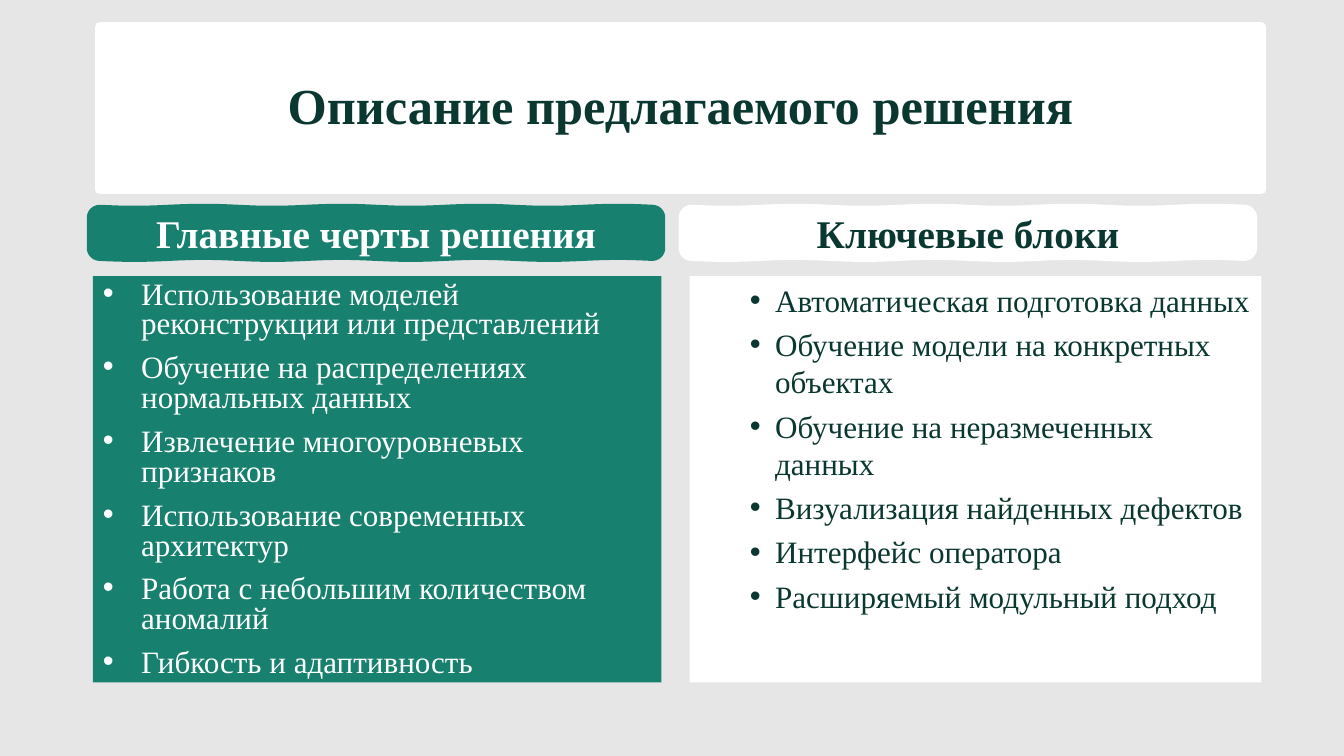
from math import cos, pi, sin

from lxml.etree import SubElement
from pptx import Presentation
from pptx.dml.color import RGBColor
from pptx.enum.shapes import MSO_SHAPE
from pptx.enum.text import MSO_ANCHOR, MSO_AUTO_SIZE, PP_ALIGN
from pptx.oxml.ns import qn
from pptx.util import Inches, Pt

GREEN = RGBColor(0x18, 0x80, 0x6E)
DARK = RGBColor(0x0A, 0x38, 0x30)
WHITE = RGBColor(0xFF, 0xFF, 0xFF)
GREY = RGBColor(0xE7, 0xE6, 0xE6)

FEATURES = [
    "Использование моделей реконструкции или представлений",
    "Обучение на распределениях нормальных данных",
    "Извлечение многоуровневых признаков",
    "Использование современных архитектур",
    "Работа с небольшим количеством аномалий",
    "Гибкость и адаптивность",
]
BLOCKS = [
    "Автоматическая подготовка данных",
    "Обучение модели на конкретных объектах",
    "Обучение на неразмеченных данных",
    "Визуализация найденных дефектов",
    "Интерфейс оператора",
    "Расширяемый модульный подход",
]


def write(shape, *lines, size, color, bold=False, align=PP_ALIGN.LEFT,
          anchor=MSO_ANCHOR.TOP, spacing=1.0, before=0, indent=0, hanging=0):
    frame = shape.text_frame
    frame.word_wrap = True
    frame.auto_size = MSO_AUTO_SIZE.NONE
    frame.vertical_anchor = anchor
    for index, line in enumerate(lines):
        paragraph = frame.add_paragraph() if index else frame.paragraphs[0]
        properties = paragraph._p.get_or_add_pPr()
        properties.set("marL", str(Inches(indent)))
        properties.set("indent", str(Inches(-hanging)))
        if hanging:
            SubElement(properties, qn("a:buFont"), typeface="Arial")
            SubElement(properties, qn("a:buChar"), char="•")
        paragraph.alignment = align
        paragraph.line_spacing = spacing
        paragraph.space_before = Pt(before if index else 0)
        run = paragraph.add_run()
        run.text = line
        run.font.name = "Times New Roman"
        run.font.size = Pt(size)
        run.font.bold = bold
        run.font.color.rgb = color


def paint(shape, color, outline=0):
    shape.fill.solid()
    shape.fill.fore_color.rgb = color
    if outline:
        shape.line.color.rgb = color
        shape.line.width = Pt(outline)
        SubElement(shape.line._get_or_add_ln(), qn("a:round"))
    else:
        shape.line.fill.background()


presentation = Presentation()
presentation.slide_width = Inches(13.33)
presentation.slide_height = Inches(7.5)
slide = presentation.slides.add_slide(presentation.slide_layouts[1])
slide.background.fill.solid()
slide.background.fill.fore_color.rgb = GREY

title = slide.shapes.title
title.left, title.top = Inches(0.99), Inches(0.27)
title.width, title.height = Inches(11.52), Inches(1.61)
paint(title, WHITE, outline=7)
write(title, "Описание предлагаемого решения", size=36, color=DARK, bold=True,
      align=PP_ALIGN.CENTER, anchor=MSO_ANCHOR.MIDDLE, spacing=0.9)

PANEL_TOP, PANEL_HEIGHT = Inches(2.74), Inches(4.03)
features = slide.placeholders[1]
features.left, features.top = Inches(0.92), PANEL_TOP
features.width, features.height = Inches(5.64), PANEL_HEIGHT
paint(features, GREEN)
write(features, *FEATURES, size=22.2, color=WHITE, spacing=0.8, before=10,
      indent=0.38, hanging=0.38)

blocks = slide.shapes.add_shape(
    MSO_SHAPE.RECTANGLE, Inches(6.84), PANEL_TOP, Inches(5.67), PANEL_HEIGHT)
blocks.shadow.inherit = False
paint(blocks, WHITE)
write(blocks, *BLOCKS, size=22.2, color=DARK, before=5,
      indent=0.75, hanging=0.25)

HEADER_TOP, HEADER_WIDTH, HEADER_HEIGHT = 2.08, 5.64, 0.46
CORNER, WAVE, STEPS = 0.08, 0.01, 60
corners = [
    (HEADER_WIDTH - CORNER, CORNER, -pi / 2),
    (HEADER_WIDTH - CORNER, HEADER_HEIGHT - CORNER, 0),
    (CORNER, HEADER_HEIGHT - CORNER, pi / 2),
    (CORNER, CORNER, pi),
]
run_length = HEADER_WIDTH - 2 * CORNER
outline = []
for step in range(STEPS + 1):
    share = step / STEPS
    outline.append((CORNER + run_length * share, WAVE * sin(8 * pi * share)))
for corner, (center_x, center_y, start) in enumerate(corners):
    for step in range(7):
        angle = start + pi / 2 * step / 6
        outline.append((center_x + CORNER * cos(angle),
                        center_y + CORNER * sin(angle)))
    if corner == 1:
        for step in range(1, STEPS):
            share = 1 - step / STEPS
            outline.append((CORNER + run_length * share,
                            HEADER_HEIGHT + WAVE * sin(8 * pi * share)))

for left, heading, fill, color in (
    (0.91, "Главные черты решения", GREEN, WHITE),
    (6.78, "Ключевые блоки", WHITE, DARK),
):
    points = [(Inches(left + x), Inches(HEADER_TOP + y)) for x, y in outline]
    builder = slide.shapes.build_freeform(*points[0])
    builder.add_line_segments(points[1:], close=True)
    header = builder.convert_to_shape()
    header.shadow.inherit = False
    paint(header, fill, outline=7)
    write(header, heading, size=28, color=color, bold=True,
          align=PP_ALIGN.CENTER, anchor=MSO_ANCHOR.MIDDLE)

presentation.save("out.pptx")
